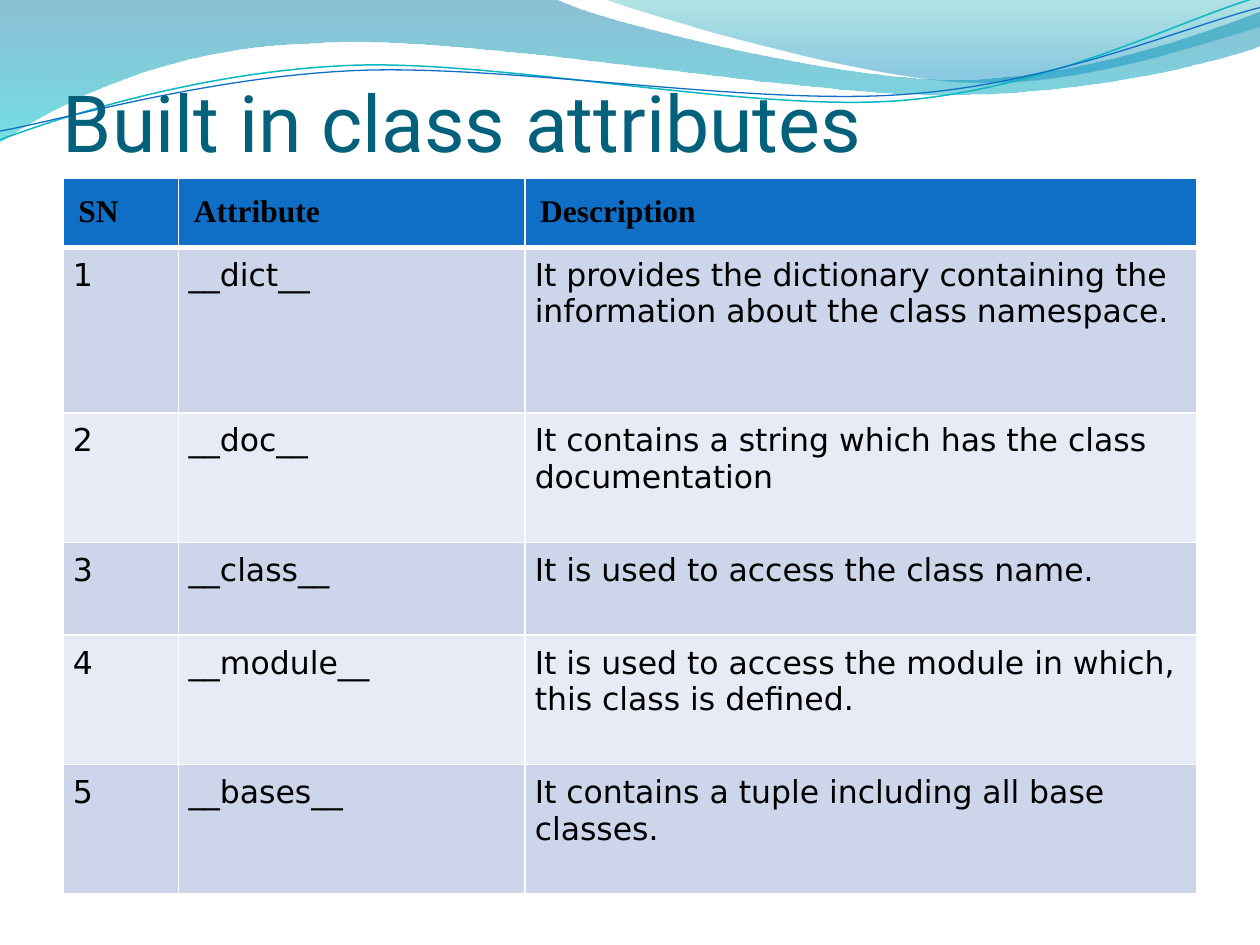
from lxml.etree import SubElement
from pptx import Presentation
from pptx.dml.color import RGBColor as RGB
from pptx.enum.text import MSO_ANCHOR as Anchor
from pptx.oxml.ns import qn
from pptx.util import Cm, Pt

COLORS = {
    "title": "04617B", "header": "0F6FC6", "text": "000000",
    "odd": "CCD5EA", "even": "E7EBF5", "border": "FFFFFF",
    "wave_top": "0074A1", "wave_bottom": "00C6CF",
    "crest_top": "00A1A9", "crest_bottom": "008BBF",
    "teal_line": "0AB8BF", "blue_line": "0F6FC6",
}

# Wave outlines: points in inches; six numbers make a curve, two a line
WAVE = [(0, 0), (4.4, -0.01), (4.76, 0.17, 6.64, 0.63, 7.58, 0.63),
        (8.53, 0.63, 9.58, 0.26, 10, 0.09), (10.01, 0.36),
        (9.83, 0.44, 8.7, 0.76, 7.46, 0.75),
        (6.22, 0.75, 3.82, 0.28, 2.57, 0.34),
        (1.29, 0.36, 0.46, 0.83, -0.01, 1.13)]
CREST = [(4.79, -0.01), (5.09, 0.11, 6.82, 0.62, 7.69, 0.65),
         (8.56, 0.69, 9.61, 0.32, 10, 0.21), (10, 0)]
TEAL_LINE = [(0, 1.11), (0.48, 0.93, 1.58, 0.57, 2.77, 0.52),
             (3.95, 0.47, 5.93, 0.89, 7.13, 0.8),
             (8.33, 0.71, 9.38, 0.15, 9.98, -0.02)]
BLUE_LINE = [(0, 1.04), (0.47, 0.96, 1.64, 0.61, 2.83, 0.56),
             (4.03, 0.51, 5.97, 0.84, 7.17, 0.75),
             (8.36, 0.67, 9.41, 0.21, 10, 0.06)]

ROWS = [
    ("SN", "Attribute", "Description"),
    ("1", "__dict__", "It provides the dictionary containing the "
     "information about the class namespace."),
    ("2", "__doc__", "It contains a string which has the class documentation"),
    ("3", "__class__", "It is used to access the class name."),
    ("4", "__module__", "It is used to access the module in which, "
     "this class is defined."),
    ("5", "__bases__", "It contains a tuple including all base classes."),
]
COL_WIDTHS = [2.33, 6.98, 13.55]
ROW_HEIGHTS = [1.34, 3.34, 2.61, 1.87, 2.61, 2.61]


def rgb(name):
    return RGB.from_string(COLORS[name])


class Deck:
    title_font, header_font, body_font = "Roboto", "Times New Roman", "DejaVu Sans"

    def __init__(self, prs):
        self.s = prs.slides.add_slide(prs.slide_layouts[6])

    def outline(self, outline, close):
        pts = [(Cm(2.54 * x), Cm(2.54 * y))
               for seg in outline for x, y in zip(seg[::2], seg[1::2])]
        builder = self.s.shapes.build_freeform(*pts[0])
        builder.add_line_segments(pts[1:], close=close)
        sp = builder.convert_to_shape()
        sp.shadow.inherit = False
        # Join each three line points of a curve into one Bezier segment
        lines = iter(list(sp._element.iter(qn("a:lnTo"))))
        for seg in outline[1:]:
            first = next(lines)
            if len(seg) == 6:
                first.tag = qn("a:cubicBezTo")
                for _ in range(2):
                    line = next(lines)
                    first.append(line[0])
                    line.getparent().remove(line)
        return sp

    def wave(self, outline, stops):
        sp = self.outline(outline, True)
        sp.line.fill.background()
        sp.fill.gradient()
        sp.fill.gradient_angle = 270
        for stop, (pos, color, _) in zip(sp.fill.gradient_stops, stops):
            stop.position = pos
            stop.color.rgb = rgb(color)
        clrs = sp._element.spPr.iter(qn("a:srgbClr"))
        for clr, (_, _, opacity) in zip(clrs, stops):
            SubElement(clr, qn("a:alpha"), val=str(opacity * 1000))

    def curve(self, outline, color, width):
        sp = self.outline(outline, False)
        sp.fill.background()
        sp.line.color.rgb = rgb(color)
        sp.line.width = Pt(width)

    def style(self, p, font, size, color, bold=False):
        p.font.name, p.font.size, p.font.bold = font, Pt(size), bold
        p.font.color.rgb = rgb(color)

    def title(self, text, x, y, w, h):
        tf = self.s.shapes.add_textbox(Cm(x), Cm(y), Cm(w), Cm(h)).text_frame
        tf.word_wrap = True
        tf.vertical_anchor = Anchor.BOTTOM
        tf.margin_left = tf.margin_right = tf.margin_bottom = 0
        tf.margin_top = Cm(0.13)
        p = tf.paragraphs[0]
        p.text = text
        self.style(p, self.title_font, 45, "title")

    def borders(self, cell, **widths):
        tc_pr = cell._tc.get_or_add_tcPr()
        for i, side in enumerate("LRTB"):
            ln = SubElement(tc_pr, qn(f"a:ln{side}"),
                            w=str(Pt(widths.get(side, 1))))
            fill = SubElement(ln, qn("a:solidFill"))
            SubElement(fill, qn("a:srgbClr"), val=COLORS["border"])
            tc_pr.insert(i, ln)

    def table(self, rows, x, y, widths, heights):
        tbl = self.s.shapes.add_table(
            len(rows), len(widths), Cm(x), Cm(y),
            Cm(sum(widths)), Cm(sum(heights))).table
        for col, w in zip(tbl.columns, widths):
            col.width = Cm(w)
        for r, (row, h) in enumerate(zip(rows, heights)):
            tbl.rows[r].height = Cm(h)
            head = r == 0
            fill = "header" if head else "odd" if r % 2 else "even"
            for c, text in enumerate(row):
                cell = tbl.cell(r, c)
                cell.fill.solid()
                cell.fill.fore_color.rgb = rgb(fill)
                margin = Cm(0.31 if head else 0.2)
                cell.margin_left = cell.margin_right = margin
                cell.margin_top = cell.margin_bottom = margin
                self.borders(cell, B=3 if head else 1, T=3 if r == 1 else 1)
                p = cell.text_frame.paragraphs[0]
                p.text = text
                self.style(p, self.header_font if head else self.body_font,
                           18, "text", head)


def main():
    prs = Presentation()
    prs.slide_width, prs.slide_height = Cm(25.4), Cm(19.05)
    deck = Deck(prs)

    # Wave decoration
    deck.wave(WAVE, [(0, "wave_top", 45), (1, "wave_bottom", 55)])
    deck.wave(CREST, [(0, "crest_top", 30), (0.8, "crest_bottom", 45)])
    deck.curve(TEAL_LINE, "teal_line", 0.85)
    deck.curve(BLUE_LINE, "blue_line", 0.75)

    # Title and table
    deck.title("Built in class attributes", 1.27, 1.7, 22.86, 1.7)
    deck.table(ROWS, 1.27, 3.6, COL_WIDTHS, ROW_HEIGHTS)

    prs.save("out.pptx")


if __name__ == "__main__":
    main()
